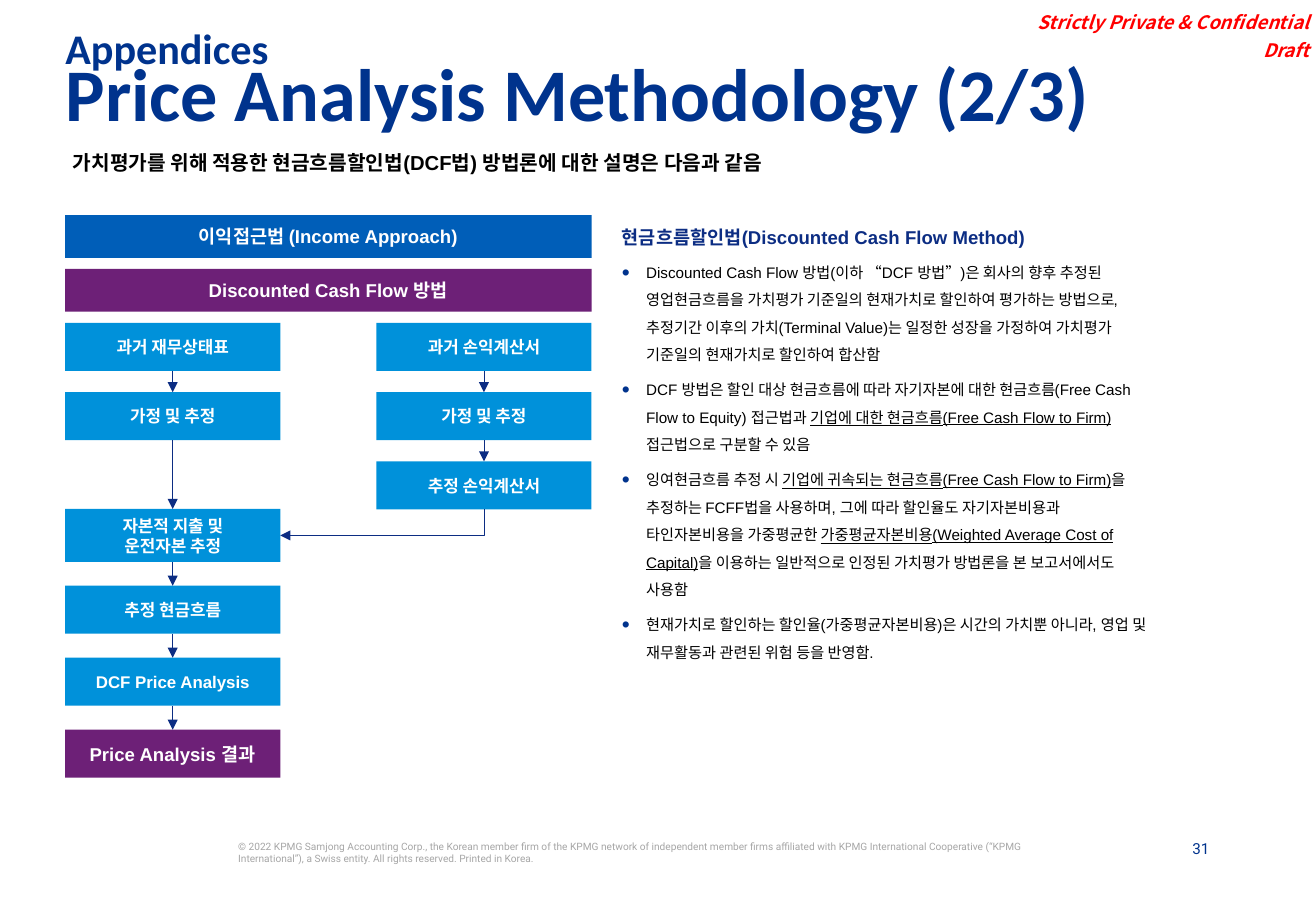
"""Build the slide on the discounted cash flow method."""
import dataclasses
import itertools

import lxml.etree
import pptx
import pptx.dml.color
import pptx.enum.shapes
import pptx.enum.text
import pptx.oxml.ns
import pptx.util

Align = pptx.enum.text.PP_ALIGN
Anchor = pptx.enum.text.MSO_ANCHOR
qn = pptx.oxml.ns.qn


@dataclasses.dataclass(frozen=True)
class Theme:
    """Colours, fonts and type sizes of the deck."""
    navy: str = "00338D"
    ink: str = "0C2D83"
    blue: str = "005EB8"
    sky: str = "0091DA"
    plum: str = "6D2077"
    red: str = "FF0000"
    grey: str = "A6A6A6"
    black: str = "000000"
    white: str = "FFFFFF"
    main: str = "Arial"
    head: str = "Calibri"
    foot: str = "Roboto"
    mark: str = "Noto Sans CJK KR"
    huge: int = 44
    large: int = 25
    lead: int = 12
    band: int = 11
    step: int = 10
    body: int = 9
    tiny: int = 6


THEME = Theme()
WIDE = pptx.util.Inches(10.83)
HIGH = pptx.util.Inches(7.5)
LEFT, FULL, CELL = 4.95, 40, 16.35
RIGHT = LEFT + FULL - CELL
TALL, BAND = 5.27, 4.72
TOP, PITCH = 35.45, 7.6
LOW, STRIDE = 64.3, 7.9
MERGE, DEEP = 55.87, 5.8

POINTS = [
    "Discounted Cash Flow 방법(이하 “DCF 방법”)은 회사의 향후 추정된 영업현금흐름을 가치평가 "
    "기준일의 현재가치로 할인하여 평가하는 방법으로, 추정기간 이후의 가치(Terminal Value)는 "
    "일정한 성장을 가정하여 가치평가 기준일의 현재가치로 할인하여 합산함",
    "DCF 방법은 할인 대상 현금흐름에 따라 자기자본에 대한 현금흐름(Free Cash Flow to Equity) "
    "접근법과 |기업에 대한 현금흐름(Free Cash Flow to Firm)| 접근법으로 구분할 수 있음",
    "잉여현금흐름 추정 시 |기업에 귀속되는 현금흐름(Free Cash Flow to Firm)|을 추정하는 FCFF법을 "
    "사용하며, 그에 따라 할인율도 자기자본비용과 타인자본비용을 가중평균한 "
    "|가중평균자본비용(Weighted Average Cost of Capital)|을 이용하는 일반적으로 인정된 "
    "가치평가 방법론을 본 보고서에서도 사용함",
    "현재가치로 할인하는 할인율(가중평균자본비용)은 시간의 가치뿐 아니라, "
    "영업 및 재무활동과 관련된 위험 등을 반영함.",
]
NOTICE = (
    "© 2022 KPMG Samjong Accounting Corp., the Korean member firm of the KPMG network of "
    "independent member firms affiliated with KPMG International Cooperative (“KPMG "
    "International”), a Swiss entity. All rights reserved. Printed in Korea."
)


def across(share):
    """Turn a percentage of the slide's width into a length."""
    return round(WIDE * share / 100)


def down(share):
    """Turn a percentage of the slide's height into a length."""
    return round(HIGH * share / 100)


def area(x, y, w, h):
    """Turn a box in percentages into four lengths."""
    return across(x), down(y), across(w), down(h)


def tint(code):
    """Return a colour from its hex code."""
    return pptx.dml.color.RGBColor.from_string(code)


def dot(para):
    """Give a paragraph a round bullet with a hanging indent."""
    props = para._p.get_or_add_pPr()
    inset = pptx.util.Inches(0.2)
    props.set("marL", str(inset))
    props.set("indent", str(-inset))
    hue = lxml.etree.SubElement(props, qn("a:buClr"))
    lxml.etree.SubElement(hue, qn("a:srgbClr"), val=THEME.navy)
    lxml.etree.SubElement(props, qn("a:buSzPct"), val="150000")
    lxml.etree.SubElement(props, qn("a:buFont"), typeface=THEME.main)
    lxml.etree.SubElement(props, qn("a:buChar"), char="•")


def write(shape, text, size=THEME.body, color=THEME.black, font=THEME.main, bold=False,
          slant=False, align=Align.LEFT, anchor=Anchor.TOP, inset=(0, 0, 0, 0),
          lines=1.0, gap=0, dots=False):
    """Fill a shape with formatted paragraphs; bars enclose underlined words."""
    frame = shape.text_frame
    frame.word_wrap = True
    frame.auto_size = pptx.enum.text.MSO_AUTO_SIZE.NONE
    frame.vertical_anchor = anchor
    (frame.margin_left, frame.margin_top,
     frame.margin_right, frame.margin_bottom) = map(pptx.util.Inches, inset)
    for rank, line in enumerate(text.split("\n")):
        para = frame.add_paragraph() if rank else frame.paragraphs[0]
        if dots:
            dot(para)
        para.alignment = align
        para.line_spacing = lines
        para.space_before = pptx.util.Pt(gap if rank else 0)
        for turn, piece in enumerate(line.split("|")):
            run = para.add_run()
            run.text = piece
            run.font.size = pptx.util.Pt(size)
            run.font.name = font
            run.font.bold = bold
            run.font.italic = slant
            run.font.color.rgb = tint(color)
            if turn % 2:
                run.font.underline = True


def label(slide, place, text, **style):
    """Add a text box."""
    write(slide.shapes.add_textbox(*area(*place)), text, **style)


def settle(holder, place, text, **style):
    """Move a placeholder and fill it."""
    holder.left, holder.top, holder.width, holder.height = area(*place)
    write(holder, text, **style)


def block(slide, place, text, fill=THEME.sky, size=THEME.step):
    """Add a filled box with a centred label."""
    kind = pptx.enum.shapes.MSO_SHAPE.RECTANGLE
    shape = slide.shapes.add_shape(kind, *area(*place))
    shape.shadow.inherit = False
    shape.fill.solid()
    shape.fill.fore_color.rgb = tint(fill)
    shape.line.fill.background()
    write(shape, text, size=size, color=THEME.white, bold=True, align=Align.CENTER,
          anchor=Anchor.MIDDLE, inset=(0.1, 0.05, 0.1, 0.05))


def arrow(slide, start, end):
    """Add an arrow, bent once when its ends differ in both directions."""
    x, y, to_x, to_y = area(*start, *end)
    bent = x != to_x and y != to_y
    kinds = pptx.enum.shapes.MSO_CONNECTOR
    kind = kinds.ELBOW if bent else kinds.STRAIGHT
    link = slide.shapes.add_connector(kind, x, y, to_x, to_y)
    link.line.color.rgb = tint(THEME.ink)
    link.line.width = pptx.util.Pt(0.5)
    props = link.element.spPr
    lxml.etree.SubElement(props.find(qn("a:ln")), qn("a:tailEnd"), type="triangle")
    lxml.etree.SubElement(props, qn("a:effectLst"))
    if bent:
        form = props.find(qn("a:xfrm"))
        form.attrib.pop("flipH", None)
        form.set("rot", "5400000")
        props.find(qn("a:prstGeom")).set("prst", "bentConnector2")
        link.width, link.height = to_y - y, x - to_x
        link.left = (x + to_x - link.width) // 2
        link.top = (y + to_y - link.height) // 2


def chain(slide, x, steps):
    """Stack boxes in one column and join each to the next."""
    for text, y, h, style in steps:
        block(slide, (x, y, CELL, h), text, **style)
    mid = x + CELL / 2
    for (_, y, h, _), (_, below, _, _) in itertools.pairwise(steps):
        arrow(slide, (mid, y + h), (mid, below))


def flow(slide):
    """Draw the flow chart on the left half."""
    block(slide, (LEFT, 23.6, FULL, BAND), "이익접근법 (Income Approach)", THEME.blue, THEME.band)
    block(slide, (LEFT, 29.5, FULL, BAND), "Discounted Cash Flow 방법", THEME.plum, THEME.band)
    final = {"fill": THEME.plum, "size": THEME.band}
    chain(slide, LEFT, [
        ("과거 재무상태표", TOP, TALL, {}),
        ("가정 및 추정", TOP + PITCH, TALL, {}),
        ("자본적 지출 및\n운전자본 추정", MERGE, DEEP, {}),
        ("추정 현금흐름", LOW, TALL, {}),
        ("DCF Price Analysis", LOW + STRIDE, TALL, {}),
        ("Price Analysis 결과", LOW + 2 * STRIDE, TALL, final)])
    names = ["과거 손익계산서", "가정 및 추정", "추정 손익계산서"]
    chain(slide, RIGHT, [(name, TOP + PITCH * row, TALL, {}) for row, name in enumerate(names)])
    arrow(slide, (RIGHT + CELL / 2, TOP + 2 * PITCH + TALL), (LEFT + CELL, MERGE + DEEP / 2))


def main():
    """Build and save the deck."""
    deck = pptx.Presentation()
    deck.slide_width, deck.slide_height = WIDE, HIGH
    slide = deck.slides.add_slide(deck.slide_layouts[1])
    title, body = slide.placeholders
    head = {"color": THEME.navy, "font": THEME.head, "bold": True, "lines": 0.7,
            "inset": (0.1, 0.05, 0.1, 0.05)}
    settle(title, (4.06, 7.2, 86.8, 8.5), "Price Analysis Methodology (2/3)",
           size=THEME.huge, **head)
    label(slide, (4.06, 3.33, 86.8, 4), "Appendices", size=THEME.large, **head)
    label(slide, (5.54, 16, 88.7, 7.2),
          "가치평가를 위해 적용한 현금흐름할인법(DCF법) 방법론에 대한 설명은 다음과 같음",
          size=THEME.lead, bold=True, align=Align.JUSTIFY, lines=1.2)
    flow(slide)
    label(slide, (47.25, 23.6, 50.7, 3.2), "현금흐름할인법(Discounted Cash Flow Method)",
          size=THEME.band, color=THEME.ink, bold=True, lines=1.5)
    settle(body, (47.25, 27.87, 40, 45), "\n".join(POINTS), lines=1.5, gap=4.7, dots=True)
    label(slide, (76.8, -0.1, 23.1, 7.3), "Strictly Private & Confidential\nDraft",
          size=THEME.band, color=THEME.red, font=THEME.mark, bold=True, slant=True,
          align=Align.RIGHT, anchor=Anchor.BOTTOM, inset=(0, 0.04, 0.04, 0.04), gap=3.2)
    label(slide, (18.1, 92.27, 60.3, 6.6), NOTICE, size=THEME.tiny, color=THEME.grey,
          font=THEME.foot)
    label(slide, (87.9, 92.13, 4, 2.2), "31", color=THEME.navy, font=THEME.foot,
          align=Align.RIGHT)
    deck.save("out.pptx")


if __name__ == "__main__":
    main()
